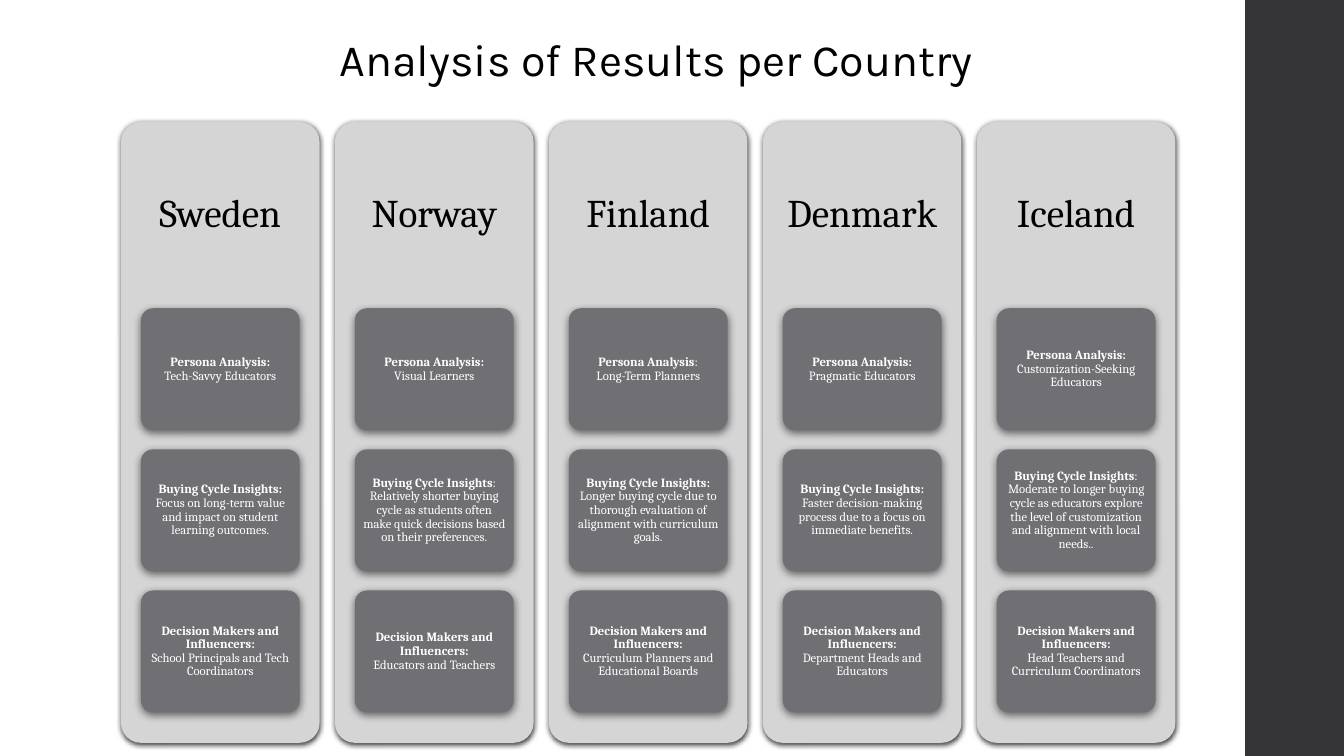
from copy import deepcopy
from dataclasses import dataclass

from lxml.etree import SubElement
from pptx import Presentation
from pptx.dml.color import RGBColor
from pptx.enum.shapes import MSO_SHAPE as Preset
from pptx.enum.text import MSO_ANCHOR as Anchor, MSO_AUTO_SIZE as AutoSize, PP_ALIGN as Align
from pptx.oxml.ns import qn
from pptx.util import Inches, Pt

HEADLINE = "Analysis of Results per Country"
TOPICS = ["Persona Analysis", "Buying Cycle Insights", "Decision Makers and Influencers"]
COUNTRIES = {
    "Sweden": [
        "Tech-Savvy Educators",
        "Focus on long-term value and impact on student learning outcomes.",
        "School Principals and Tech Coordinators",
    ],
    "Norway": [
        "Visual Learners",
        "Relatively shorter buying cycle as students often make quick decisions "
        "based on their preferences.",
        "Educators and Teachers",
    ],
    "Finland": [
        "Long-Term Planners",
        "Longer buying cycle due to thorough evaluation of alignment with curriculum goals.",
        "Curriculum Planners and Educational Boards",
    ],
    "Denmark": [
        "Pragmatic Educators",
        "Faster decision-making process due to a focus on immediate benefits.",
        "Department Heads and Educators",
    ],
    "Iceland": [
        "Customization-Seeking Educators",
        "Moderate to longer buying cycle as educators explore the level of "
        "customization and alignment with local needs..",
        "Head Teachers and Curriculum Coordinators",
    ],
}
REGULAR_COLONS = {
    ("Norway", "Buying Cycle Insights"),
    ("Finland", "Persona Analysis"),
    ("Iceland", "Buying Cycle Insights"),
}


@dataclass(frozen=True)
class Theme:
    ink: str = "000000"
    paper: str = "FFFFFF"
    sidebar: str = "353537"
    panel: str = "D5D5D6"
    card: str = "6F6F74"
    headline_font: str = "Karla"
    body_font: str = "Cambria"
    headline_size: int = 32
    country_size: int = 28
    card_size: int = 9
    corner: float = 0.1
    line_spacing: float = 0.9


THEME = Theme()
SLIDE_W, SLIDE_H = 13.33, 7.5
SIDEBAR_LEFT, SIDEBAR_W = 12.35, 1
PANEL_LEFT, PANEL_TOP, PANEL_W, PANEL_H = 1.2, 1.21, 1.97, 6.16
PANEL_PITCH = 2.122
HEADER_H = PANEL_H * 0.3
CARD_W, CARD_H, CARD_PITCH = PANEL_W * 0.8, 1.21, 1.4
CARD_INDENT = (PANEL_W - CARD_W) / 2


def box(left, top, width, height):
    return [Inches(value) for value in (left, top, width, height)]


def add_block(slide, preset, frame, colour):
    block = slide.shapes.add_shape(preset, *frame)
    block.shadow.inherit = False
    block.fill.solid()
    block.fill.fore_color.rgb = RGBColor.from_string(colour)
    block.line.fill.background()
    return block


def add_rounded(slide, frame, colour, opacity, blur, distance):
    """Add a rounded block with a soft shadow straight below it."""
    block = add_block(slide, Preset.ROUNDED_RECTANGLE, frame, colour)
    block.adjustments[0] = THEME.corner
    effects = block.element.spPr.find(qn("a:effectLst"))
    shadow = SubElement(effects, qn("a:outerShdw"), blurRad=str(Pt(blur)),
                        dist=str(Pt(distance)), dir="5400000", rotWithShape="0")
    tint = SubElement(shadow, qn("a:srgbClr"), val=THEME.ink)
    SubElement(tint, qn("a:alpha"), val=str(opacity * 1000))
    return block


def set_up(frame, inset_x, inset_y):
    """Centre the text of a frame both ways and return its paragraph."""
    frame.word_wrap = True
    frame.vertical_anchor = Anchor.MIDDLE
    frame.margin_left = frame.margin_right = Inches(inset_x)
    frame.margin_top = frame.margin_bottom = Inches(inset_y)
    paragraph = frame.paragraphs[0]
    paragraph.alignment = Align.CENTER
    paragraph.line_spacing = THEME.line_spacing
    return paragraph


def style(run, font, size, colour, bold=False):
    run.font.name = font
    run.font.size = Pt(size)
    run.font.color.rgb = RGBColor.from_string(colour)
    run.font.bold = bold


def add_card(slide, frame, topic, finding, bold_colon):
    card = add_rounded(slide, frame, THEME.card, 55, 6, 2)
    paragraph = set_up(card.text_frame, 0.03, 0.02)
    paragraph.text = f"{topic}:\n{finding}" if bold_colon else topic
    if not bold_colon:
        paragraph.add_run().text = ":"
        paragraph.add_line_break()
        paragraph.add_run().text = finding
    for position, run in enumerate(paragraph.runs):
        style(run, THEME.body_font, THEME.card_size, THEME.paper, bold=position == 0)
    # The break keeps the type size of the text around it.
    line_break = paragraph._p.find(qn("a:br"))
    line_break.append(deepcopy(paragraph.runs[-1].font._rPr))


def add_country(slide, column, country, findings):
    left = PANEL_LEFT + column * PANEL_PITCH
    add_rounded(slide, box(left, PANEL_TOP, PANEL_W, PANEL_H), THEME.panel, 75, 4, 1.2)
    header = slide.shapes.add_textbox(*box(left, PANEL_TOP, PANEL_W, HEADER_H))
    paragraph = set_up(header.text_frame, 0.12, 0.12)
    paragraph.text = country
    style(paragraph.runs[0], THEME.body_font, THEME.country_size, THEME.ink)
    for row, (topic, finding) in enumerate(zip(TOPICS, findings)):
        top = PANEL_TOP + HEADER_H + row * CARD_PITCH
        add_card(slide, box(left + CARD_INDENT, top, CARD_W, CARD_H), topic, finding,
                 (country, topic) not in REGULAR_COLONS)


def add_headline(slide):
    title = slide.shapes.title
    title.left, title.top, title.width, title.height = box(3.24, 0.32, 6.54, 0.59)
    paragraph = set_up(title.text_frame, 0.1, 0.05)
    title.text_frame.auto_size = AutoSize.SHAPE_TO_FIT_TEXT
    paragraph.text = HEADLINE
    style(paragraph.runs[0], THEME.headline_font, THEME.headline_size, THEME.ink)


def main():
    deck = Presentation()
    deck.slide_width, deck.slide_height = Inches(SLIDE_W), Inches(SLIDE_H)
    slide = deck.slides.add_slide(deck.slide_layouts.get_by_name("Title Only"))
    add_block(slide, Preset.RECTANGLE, box(SIDEBAR_LEFT, 0, SIDEBAR_W, SLIDE_H), THEME.sidebar)
    for column, (country, findings) in enumerate(COUNTRIES.items()):
        add_country(slide, column, country, findings)
    add_headline(slide)
    deck.save("out.pptx")


if __name__ == "__main__":
    main()
